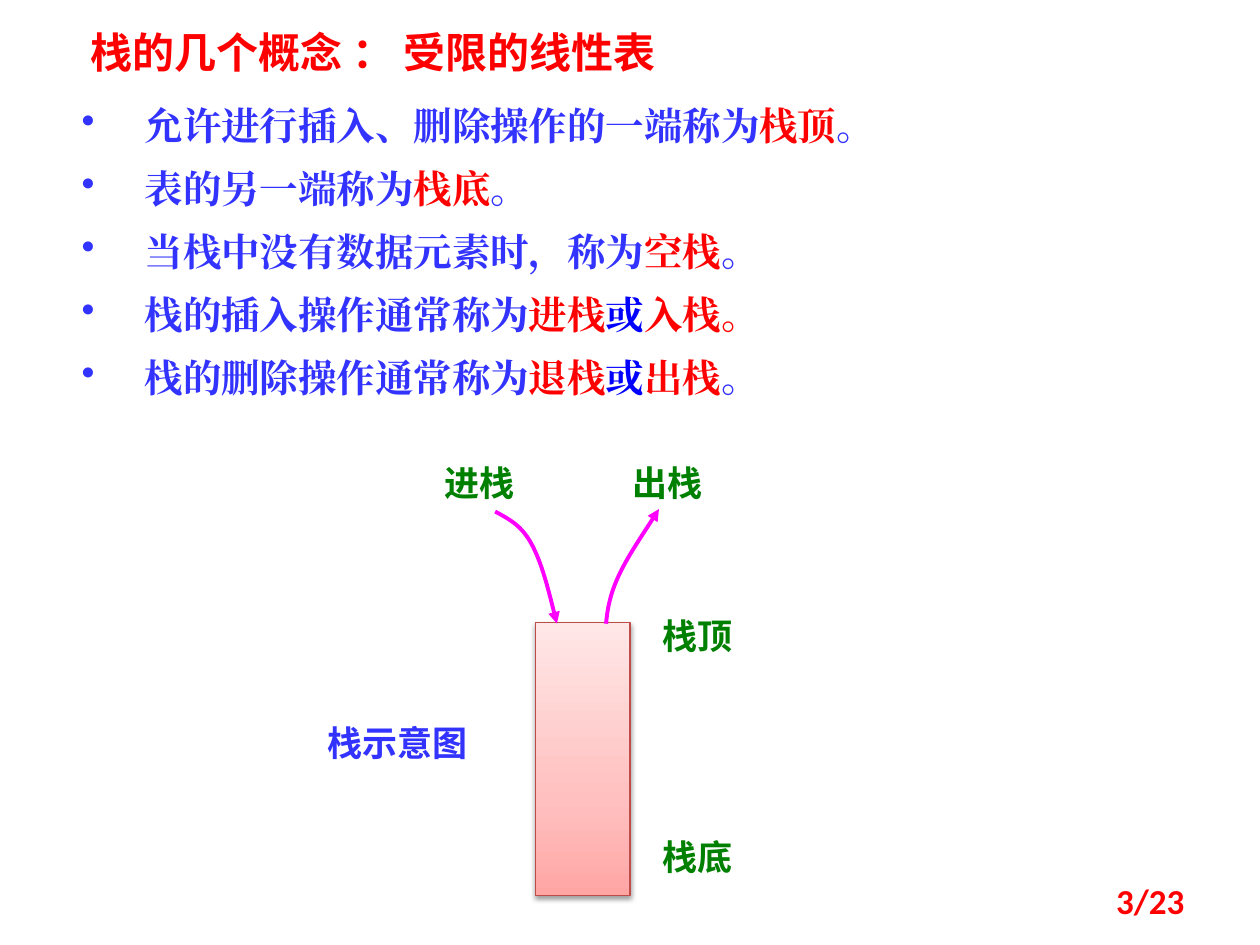
from lxml.etree import SubElement
from pptx import Presentation
from pptx.dml.color import RGBColor
from pptx.enum.shapes import MSO_SHAPE
from pptx.enum.text import MSO_ANCHOR, MSO_AUTO_SIZE, PP_ALIGN
from pptx.oxml import parse_xml
from pptx.oxml.ns import nsdecls, qn
from pptx.util import Inches, Pt

WIDE, HIGH = Inches(10), Inches(7.5)
SANS, SERIF, LATIN = "Noto Sans CJK SC", "Times New Roman", "Calibri"
RED, BLUE, DEEP, GREEN, PINK = "FF0000", "3333FF", "0000FF", "008000", "FF00FF"

POINTS = [
    [("允许进行插入、删除操作的一端称为", BLUE), ("栈顶", RED), ("。", BLUE)],
    [("表的另一端称为", BLUE), ("栈底", RED), ("。", BLUE)],
    [("当栈中没有数据元素时，称为", BLUE), ("空栈", RED), ("。", BLUE)],
    [("栈的插入操作通常称为", BLUE), ("进栈", RED), ("或", DEEP), ("入栈。", RED)],
    [("栈的删除操作通常称为", BLUE), ("退栈", RED), ("或", DEEP), ("出栈", RED),
     ("。", BLUE)],
]
# Text, colour, and left, top, width in percent of the slide
LABELS = [
    ("栈顶", GREEN, 51.6, 64.4, 10.1),
    ("栈底", GREEN, 51.6, 87.73, 9.4),
    ("栈示意图", BLUE, 25, 75.73, 14.8),
    ("进栈", GREEN, 34.3, 48.13, 12.5),
    ("出栈", GREEN, 49.2, 48.13, 12.5),
]
# Start, then two controls and an end per curve, in thousandths of the width
PUSH = [(393, 406), (404, 412), (414, 417), (422, 432),
        (430, 447), (436, 471), (442, 495)]
POP = [(481, 495), (482, 484), (484, 472), (491, 457),
       (498, 442), (511, 423), (523, 404)]


def tint(code):
    return RGBColor.from_string(code)


def area(left, top, width, height):
    """Turn percent of the slide into lengths."""
    return [round(part * side / 100) for part, side in
            zip((left, top, width, height), (WIDE, HIGH, WIDE, HIGH))]


def add_run(para, text, size, face, color, bold=True):
    run = para.add_run()
    run.text = text
    font = run.font
    font.size, font.name, font.bold = Pt(size), face, bold
    font.color.rgb = tint(color)
    SubElement(run._r.get_or_add_rPr(), qn("a:ea")).set("typeface", face)


def add_box(slide, spot):
    frame = slide.shapes.add_textbox(*area(*spot)).text_frame
    frame.word_wrap = True
    return frame


def add_title(slide, text):
    title = slide.shapes.title
    title.left, title.top, title.width, title.height = area(6.2, 2.13, 49.2, 6.67)
    frame = title.text_frame
    frame.auto_size = MSO_AUTO_SIZE.NONE
    frame.vertical_anchor = MSO_ANCHOR.TOP
    para = frame.paragraphs[0]
    para.alignment = PP_ALIGN.LEFT
    add_run(para, text, 24, SANS, RED)


def add_list(slide, items):
    frame = add_box(slide, (5.5, 10.4, 76.6, 34.53))
    for row, parts in enumerate(items):
        para = frame.add_paragraph() if row else frame.paragraphs[0]
        props = para._p.get_or_add_pPr()
        props.set("marL", str(Inches(0.5)))
        props.set("indent", str(-Inches(0.5)))
        SubElement(props, qn("a:buChar")).set("char", "•")
        para.line_spacing = Pt(25)
        if row:
            para.space_before = Pt(11)
        if row > 1:
            para.alignment = PP_ALIGN.JUSTIFY
        for text, color in parts:
            add_run(para, text, 22, SERIF, color)


def add_label(slide, text, color, left, top, width):
    frame = add_box(slide, (left, top, width, 5.87))
    add_run(frame.paragraphs[0], text, 20, SANS, color)


def add_stack(slide):
    stack = slide.shapes.add_shape(MSO_SHAPE.RECTANGLE,
                                   *area(42.5, 65.87, 7.5, 28.93))
    stack.line.color.rgb = tint("BF4C48")
    stack.line.width = Pt(0.75)
    stops = "".join(
        f'<a:gs pos="{share * 1000}"><a:srgbClr val="{code}"/></a:gs>'
        for share, code in ((0, "FFA6A5"), (35, "FFC0BF"), (100, "FFE7E7")))
    props = stack._element.spPr
    props.find(qn("a:prstGeom")).addnext(parse_xml(
        f'<a:gradFill {nsdecls("a")} rotWithShape="1"><a:gsLst>{stops}</a:gsLst>'
        '<a:lin ang="16200000" scaled="0"/></a:gradFill>'))
    props.append(parse_xml(
        f'<a:effectLst {nsdecls("a")}><a:outerShdw blurRad="{Pt(3.1)}" '
        f'dist="{Pt(1.6)}" dir="5400000" rotWithShape="0"><a:srgbClr val="000000">'
        '<a:alpha val="38000"/></a:srgbClr></a:outerShdw></a:effectLst>'))


def add_curve(slide, knots):
    """Draw an arrow whose knots, after the first, form cubic curves."""
    form = slide.shapes.build_freeform(*knots[0], scale=WIDE / 1000)
    form.add_line_segments(knots[1:], close=False)
    shape = form.convert_to_shape()
    shape.shadow.inherit = False
    shape.fill.background()
    shape.line.color.rgb = tint(PINK)
    shape.line.width = Pt(2.25)
    SubElement(shape.line._get_or_add_ln(), qn("a:tailEnd")).set("type", "triangle")
    track = shape._element.spPr.find(".//" + qn("a:path"))
    for index, step in enumerate(track.findall(qn("a:lnTo"))):
        if index % 3 == 0:
            curve = SubElement(track, qn("a:cubicBezTo"))
        curve.append(step[0])
        track.remove(step)


def add_number(slide, text):
    frame = add_box(slide, (71.7, 92.67, 23.3, 5.33))
    frame.vertical_anchor = MSO_ANCHOR.MIDDLE
    para = frame.paragraphs[0]
    para.alignment = PP_ALIGN.RIGHT
    add_run(para, text, 20, LATIN, RED)


def main():
    deck = Presentation()
    deck.slide_width, deck.slide_height = WIDE, HIGH
    slide = deck.slides.add_slide(deck.slide_layouts[5])
    add_title(slide, "栈的几个概念 ： 受限的线性表")
    add_list(slide, POINTS)
    add_stack(slide)
    for label in LABELS:
        add_label(slide, *label)
    for knots in (PUSH, POP):
        add_curve(slide, knots)
    add_number(slide, "3/23")
    deck.save("out.pptx")


if __name__ == "__main__":
    main()
